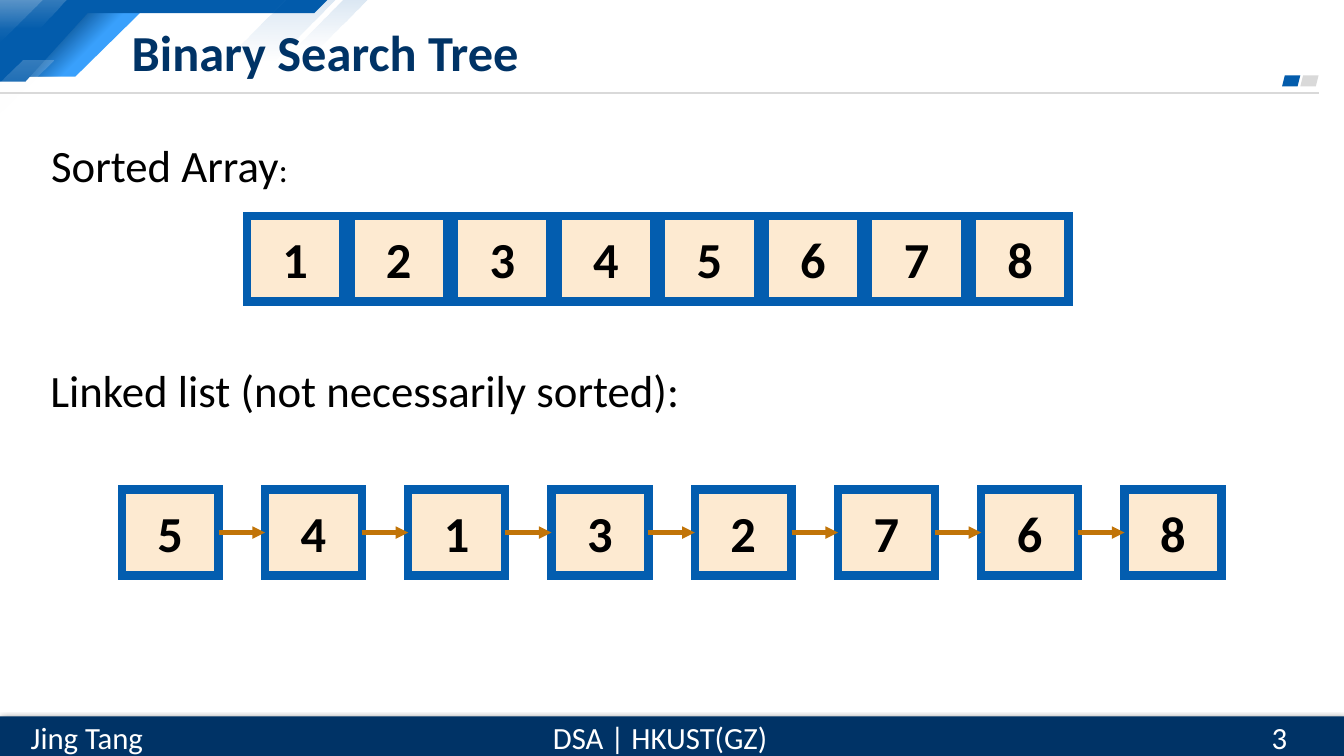
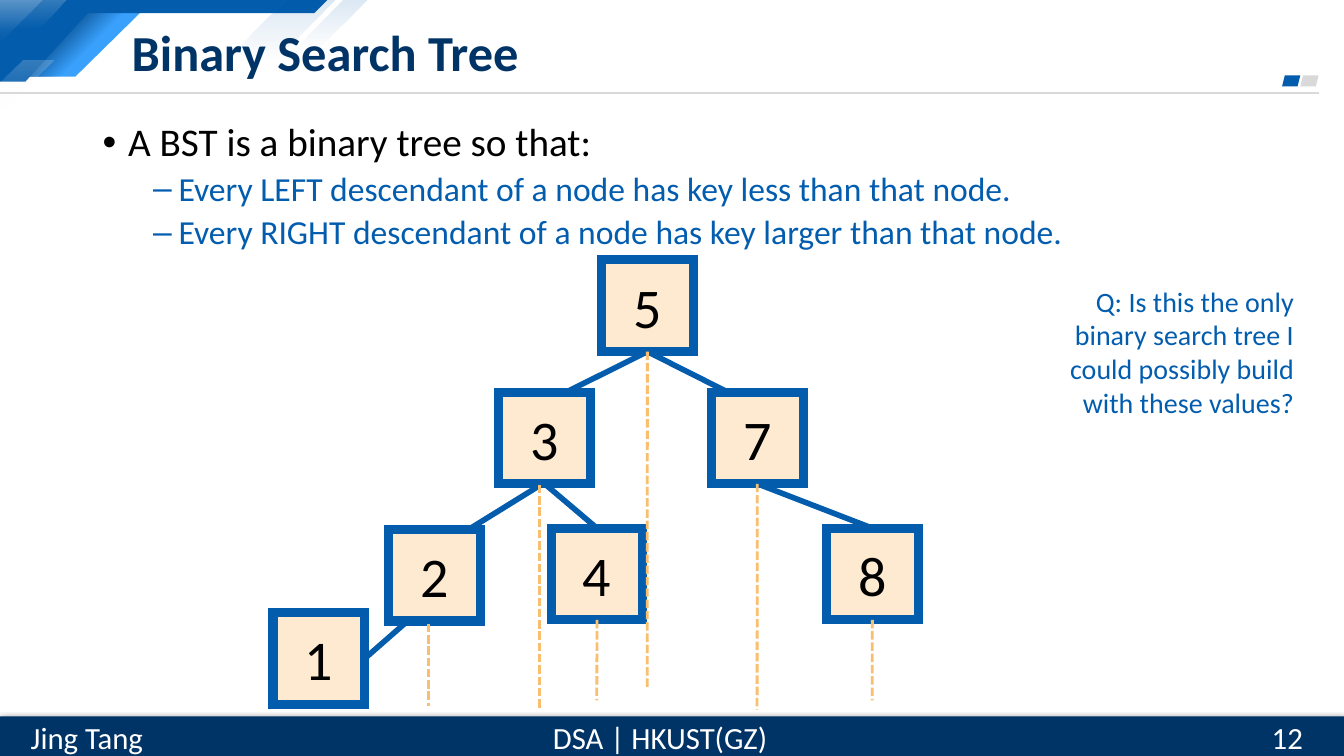
from lxml.etree import SubElement
from pptx import Presentation
from pptx.dml.color import RGBColor
from pptx.enum.dml import MSO_LINE
from pptx.enum.shapes import MSO_CONNECTOR, MSO_SHAPE
from pptx.enum.text import MSO_ANCHOR as ANCHOR, PP_ALIGN as ALIGN
from pptx.oxml.ns import qn
from pptx.util import Cm, Pt

NAVY = RGBColor(0x00, 0x33, 0x66)
BLUE = RGBColor(0x03, 0x5C, 0xAC)
TEXT_BLUE = RGBColor(0x03, 0x5D, 0xAF)
SKY = RGBColor(0x39, 0xA0, 0xFC)
SHADE = RGBColor(0x02, 0x45, 0x81)
GREY = RGBColor(0xD9, 0xD9, 0xD9)
CREAM = RGBColor(0xFD, 0xEA, 0xD1)
BROWN = RGBColor(0xC1, 0x74, 0x08)
ORANGE = RGBColor(0xF9, 0xBF, 0x6F)
WHITE = RGBColor(0xFF, 0xFF, 0xFF)
BLACK = RGBColor(0x00, 0x00, 0x00)
FONT = "Calibri"
WIDTH, HEIGHT = 33.87, 19.05


def write(shape, text, size, color=BLACK, bold=False, align=ALIGN.LEFT,
          anchor=ANCHOR.MIDDLE, new_paragraph=False):
    frame = shape.text_frame
    frame.word_wrap = True
    frame.vertical_anchor = anchor
    paragraph = frame.add_paragraph() if new_paragraph else frame.paragraphs[-1]
    paragraph.alignment = align
    run = paragraph.add_run()
    run.text = text
    run.font.name = FONT
    run.font.size = Pt(size)
    run.font.bold = bold
    run.font.color.rgb = color
    return paragraph


def draw_line(slide, start, end, color, width, dash=None):
    connector = slide.shapes.add_connector(MSO_CONNECTOR.STRAIGHT, 0, 0, 0, 0)
    if isinstance(start[0], (int, float)):
        connector.begin_x, connector.begin_y = Cm(start[0]), Cm(start[1])
    else:
        connector.begin_connect(*start)
    if isinstance(end[0], (int, float)):
        connector.end_x, connector.end_y = Cm(end[0]), Cm(end[1])
    else:
        connector.end_connect(*end)
    connector.line.color.rgb = color
    connector.line.width = Pt(width)
    if dash:
        connector.line.dash_style = dash
    SubElement(connector._element.spPr, qn("a:effectLst"))
    return connector


presentation = Presentation()
presentation.slide_width = Cm(WIDTH)
presentation.slide_height = Cm(HEIGHT)
blank = presentation.slide_layouts[6]

SKY_BAND = [(2.13, 0.18), (3.68, 0.18), (1.9, 1.93), (0.41, 1.93)]
BLUE_BAND = [(0, 0), (8.25, 0), (7.92, 0.33), (2.21, 0.33), (0.64, 2.06), (0, 2.06)]
# outline, colour, opacity at the first stop (None is solid), stops, angle
BANDS = [
    (SKY_BAND, SKY, None, None, None),
    (SKY_BAND, SHADE, 100, (0.29, 0.57), 315),
    (BLUE_BAND, BLUE, None, None, None),
    ([(0, 0), (1.07, 0), (0, 1.07)], WHITE, 20, (0, 1), 270),
    ([(0, 0), (1.68, 0), (0.99, 0.71), (0, 0.71)], WHITE, 20, (0, 1), 270),
    ([(7.21, 0), (8.46, 0), (6.91, 1.55), (5.64, 1.55)], BLUE, 15, (0, 1), 270),
    ([(8.64, 0), (9.25, 0), (8, 1.24), (7.39, 1.24)], BLUE, 15, (0, 1), 270),
    ([(0.58, 1.52), (1.35, 1.52), (0, 2.87), (0, 2.1)], WHITE, 20, (0, 1), 270),
]

slides = []
for number in ("3", "12"):
    slide = presentation.slides.add_slide(blank)
    slides.append(slide)

    for outline, color, opacity, positions, angle in BANDS:
        points = [(Cm(x), Cm(y)) for x, y in outline]
        builder = slide.shapes.build_freeform(*points[0])
        builder.add_line_segments(points[1:], close=True)
        band = builder.convert_to_shape()
        band.shadow.inherit = False
        band.line.fill.background()
        if opacity is None:
            band.fill.solid()
            band.fill.fore_color.rgb = color
            continue
        band.fill.gradient()
        band.fill.gradient_angle = angle
        for stop, position in zip(band.fill.gradient_stops, positions):
            stop.color.rgb = color
            stop.position = position
        for tint, alpha in zip(band._element.spPr.iter(qn("a:srgbClr")), (opacity, 0)):
            SubElement(tint, qn("a:alpha"), val=str(alpha * 1000))

    draw_line(slide, (0, 2.34), (33.25, 2.34), GREY, 1.5)

    for kind, left, top, width, height, color in (
        (MSO_SHAPE.PARALLELOGRAM, 32.77, 1.9, 0.46, 0.28, GREY),
        (MSO_SHAPE.PARALLELOGRAM, 32.31, 1.9, 0.46, 0.28, BLUE),
        (MSO_SHAPE.RECTANGLE, 0, 18.05, WIDTH, 1, NAVY),
    ):
        shape = slide.shapes.add_shape(kind, Cm(left), Cm(top), Cm(width), Cm(height))
        shape.shadow.inherit = False
        shape.fill.solid()
        shape.fill.fore_color.rgb = color
        shape.line.fill.background()
    effects = shape._element.spPr.find(qn("a:effectLst"))
    shadow = SubElement(effects, qn("a:outerShdw"), blurRad=str(Pt(4.5)),
                        dist=str(Pt(1.5)), dir="5400000", rotWithShape="0")
    shadow_color = SubElement(shadow, qn("a:srgbClr"), val=str(BLACK))
    SubElement(shadow_color, qn("a:alpha"), val="63000")

    for text, left, width, align in (
        ("DSA | HKUST(GZ)", 13.61, 6.05, ALIGN.CENTER),
        ("Jing Tang", 0.41, 3.56, ALIGN.CENTER),
        (number, 31.8, 2.06, ALIGN.LEFT),
    ):
        footer = slide.shapes.add_textbox(Cm(left), Cm(18.08), Cm(width), Cm(0.97))
        footer.text_frame.margin_top = footer.text_frame.margin_bottom = 0
        write(footer, text, 22, WHITE, align=align)

    title = slide.shapes.add_textbox(Cm(3.07), Cm(0.43), Cm(25.93), Cm(1.75))
    write(title, "Binary Search Tree", 36, NAVY, bold=True)

list_slide, tree_slide = slides

array_label = list_slide.shapes.add_textbox(Cm(1.04), Cm(3.35), Cm(8), Cm(1.63))
write(array_label, "Sorted Array", 32, anchor=ANCHOR.TOP)
write(array_label, ":", 24, anchor=ANCHOR.TOP)
list_label = list_slide.shapes.add_textbox(Cm(1.02), Cm(9.02), Cm(18), Cm(1.63))
write(list_label, "Linked list (not necessarily sorted):", 32, anchor=ANCHOR.TOP)

body = tree_slide.shapes.add_textbox(Cm(2.34), Cm(2.97), Cm(29.21), Cm(3.5))
for text, level, size, color, bullet in (
    ("A BST is a binary tree so that:", 0, 28, BLACK, "•"),
    ("Every LEFT descendant of a node has key less than that node.", 1, 24, TEXT_BLUE, "–"),
    ("Every RIGHT descendant of a node has key larger than that node.", 1, 24, TEXT_BLUE, "–"),
):
    paragraph = write(body, text, size, color, anchor=ANCHOR.TOP, new_paragraph=level > 0)
    paragraph.level = level
    paragraph.line_spacing = 0.9
    if level:
        paragraph.space_before = Pt(5)
    properties = paragraph._p.get_or_add_pPr()
    properties.set("marL", str(Cm(0.64 + 1.27 * level)))
    properties.set("indent", str(Cm(-0.64)))
    SubElement(properties, qn("a:buFont"), typeface="Arial")
    SubElement(properties, qn("a:buChar"), char=bullet)

array_cells = [(key, 6.22 + 2.61 * i, 5.44) for i, key in enumerate("12345678")]
list_cells = [(key, 3.07 + 3.61 * i, 12.34) for i, key in enumerate("54132768")]
tree_cells = [
    ("4", 13.89, 13.31), ("2", 9.8, 13.34), ("8", 20.83, 13.31), ("7", 17.93, 9.88),
    ("1", 6.88, 15.44), ("3", 12.57, 9.88), ("5", 15.16, 6.55),
]
cell_groups = []
for slide, cells, width, height, line_color, line_width, size, bold in (
    (list_slide, array_cells, 2.44, 2.16, TEXT_BLUE, 6, 36, True),
    (list_slide, list_cells, 2.44, 2.16, TEXT_BLUE, 6, 36, True),
    (tree_slide, tree_cells, 2.31, 2.31, BLUE, 6.5, 40, False),
):
    group = {}
    for key, left, top in cells:
        cell = slide.shapes.add_shape(
            MSO_SHAPE.RECTANGLE, Cm(left), Cm(top), Cm(width), Cm(height))
        cell.shadow.inherit = False
        cell.fill.solid()
        cell.fill.fore_color.rgb = CREAM
        cell.line.color.rgb = line_color
        cell.line.width = Pt(line_width)
        SubElement(cell.line._get_or_add_ln(), qn("a:miter"), lim="800000")
        write(cell, key, size, bold=bold, align=ALIGN.CENTER)
        group[key] = cell
    cell_groups.append(group)

_, list_nodes, tree_nodes = cell_groups

chain = list(list_nodes.values())
for node, following in zip(chain, chain[1:]):
    arrow = draw_line(list_slide, (node, 3), (following, 1), BROWN, 3)
    SubElement(arrow.line._get_or_add_ln(), qn("a:tailEnd"), type="triangle")

for start, end in (
    ((tree_nodes["5"], 2), (18.34, 9.88)),
    ((tree_nodes["5"], 2), (14.27, 9.88)),
    ((13.59, 12.24), (11.86, 13.31)),
    ((tree_nodes["3"], 2), (tree_nodes["4"], 0)),
    ((tree_nodes["7"], 2), (tree_nodes["8"], 0)),
    ((10.19, 15.72), (tree_nodes["1"], 3)),
):
    draw_line(tree_slide, start, end, BLUE, 4)

for start, end in (
    ((tree_nodes["5"], 2), (16.31, 17.35)),
    ((13.59, 12.22), (13.59, 17.88)),
    ((tree_nodes["7"], 2), (19.08, 17.88)),
    ((tree_nodes["4"], 2), (15.04, 17.65)),
    ((tree_nodes["8"], 2), (21.98, 17.65)),
    ((10.8, 15.72), (10.8, 17.78)),
):
    draw_line(tree_slide, start, end, ORANGE, 2, MSO_LINE.SQUARE_DOT)

question = tree_slide.shapes.add_textbox(Cm(25.65), Cm(7.04), Cm(7.21), Cm(3.68))
write(question, "Q: Is this the only binary search tree I could possibly build with these values?",
      20, TEXT_BLUE, align=ALIGN.RIGHT, anchor=ANCHOR.TOP)

presentation.save("out.pptx")
